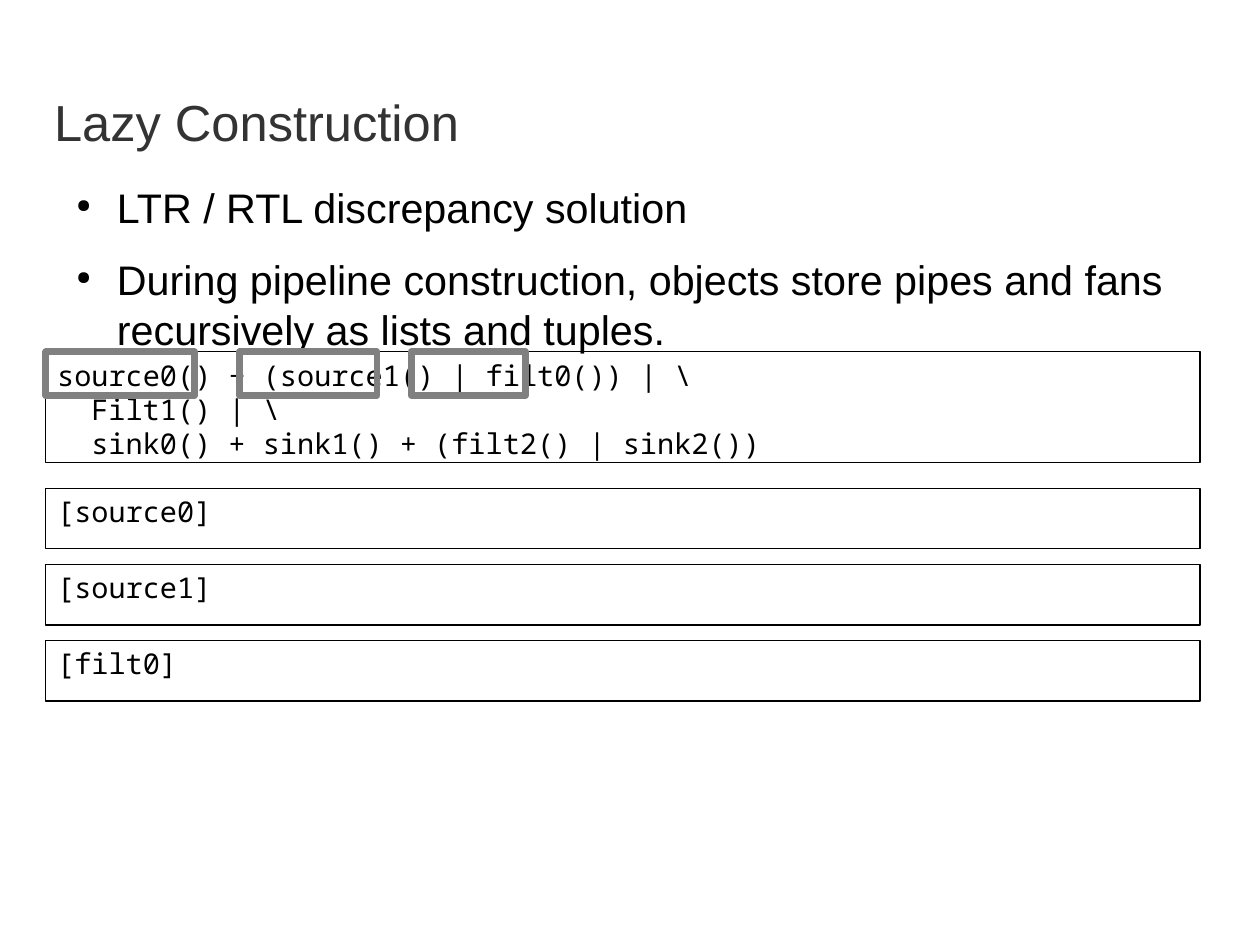
import pptx
import pptx.dml.color
import pptx.enum.shapes
import pptx.enum.text
import pptx.util
from lxml import etree
from pptx.util import Cm, Pt

CODE_LEFT = 1.02
CODE_TOP = 7.82
CODE_WIDTH = 25.65
FIRST_LIST_TOP = 10.85
LIST_PITCH = 1.69


def color(hex_text):
    return pptx.dml.color.RGBColor.from_string(hex_text)


def add_box(left, top, width, height, line_color, line_width):
    box = slide.shapes.add_shape(
        pptx.enum.shapes.MSO_SHAPE.RECTANGLE,
        Cm(left), Cm(top), Cm(width), Cm(height))
    box.shadow.inherit = False
    box.fill.background()
    box.line.color.rgb = color(line_color)
    box.line.width = Pt(line_width)
    return box


deck = pptx.Presentation()
deck.slide_width = Cm(28)
deck.slide_height = Cm(21)
slide = deck.slides.add_slide(deck.slide_layouts[5])

title = slide.shapes.title
title.left, title.top, title.width, title.height = Cm(1.2), Cm(1.8), Cm(19.6), Cm(1.8)
frame = title.text_frame
frame.text = "Lazy Construction"
frame.margin_left = frame.margin_right = frame.margin_top = frame.margin_bottom = 0
frame.vertical_anchor = pptx.enum.text.MSO_ANCHOR.MIDDLE
para = frame.paragraphs[0]
para.alignment = pptx.enum.text.PP_ALIGN.LEFT
para.font.name = "Arial"
para.font.size = Pt(31.9)
para.font.color.rgb = color("333333")

# Each code line: text and left indent in cm
code_boxes = [
    (CODE_TOP, 2.46, [
        ("source0() + (source1() | filt0()) | \\", 0),
        ("Filt1() | \\", 0.76),
        ("sink0() + sink1() + (filt2() | sink2())", 0.76),
    ]),
]
for index, name in enumerate(["source0", "source1", "filt0"]):
    code_boxes.append((FIRST_LIST_TOP + index * LIST_PITCH, 1.35, [(f"[{name}]", 0)]))

for top, height, lines in code_boxes:
    box = add_box(CODE_LEFT, top, CODE_WIDTH, height, "000000", 0)
    box.fill.solid()
    box.fill.fore_color.rgb = color("FFFFFF")
    frame = box.text_frame
    frame.vertical_anchor = pptx.enum.text.MSO_ANCHOR.TOP
    frame.text = "\n".join(text for text, indent in lines)
    for para, (text, indent) in zip(frame.paragraphs, lines):
        para.alignment = pptx.enum.text.PP_ALIGN.LEFT
        para.font.name = "Noto Sans Mono"
        para.font.size = Pt(18)
        para.font.color.rgb = color("000000")
        if indent:
            para._p.get_or_add_pPr().set("marL", str(Cm(indent)))

body = slide.shapes.add_textbox(Cm(1.4), Cm(4.06), Cm(26.04), Cm(15.24))
frame = body.text_frame
frame.word_wrap = True
frame.margin_left = frame.margin_right = frame.margin_top = frame.margin_bottom = 0
frame.text = "\n".join([
    "LTR / RTL discrepancy solution",
    "During pipeline construction, objects store pipes and fans "
    "recursively as lists and tuples.",
])
for para in frame.paragraphs:
    para.space_after = Pt(14.2)
    para.font.name = "Arial"
    para.font.size = Pt(26)
    para.font.color.rgb = color("000000")
    properties = para._p.get_or_add_pPr()
    properties.set("marL", str(Cm(1.2)))
    properties.set("indent", str(Cm(-0.9)))
    bullet_size = etree.Element(pptx.oxml.ns.qn("a:buSzPct"), val="45000")
    bullet = etree.Element(pptx.oxml.ns.qn("a:buChar"), char="●")
    defaults = properties.find(pptx.oxml.ns.qn("a:defRPr"))
    defaults.addprevious(bullet_size)
    defaults.addprevious(bullet)

for left, width in [(1.02, 3.3), (5.33, 3.05), (9.14, 2.54)]:
    add_box(left, CODE_TOP, width, 0.97, "808080", 4.31)

deck.save("out.pptx")
